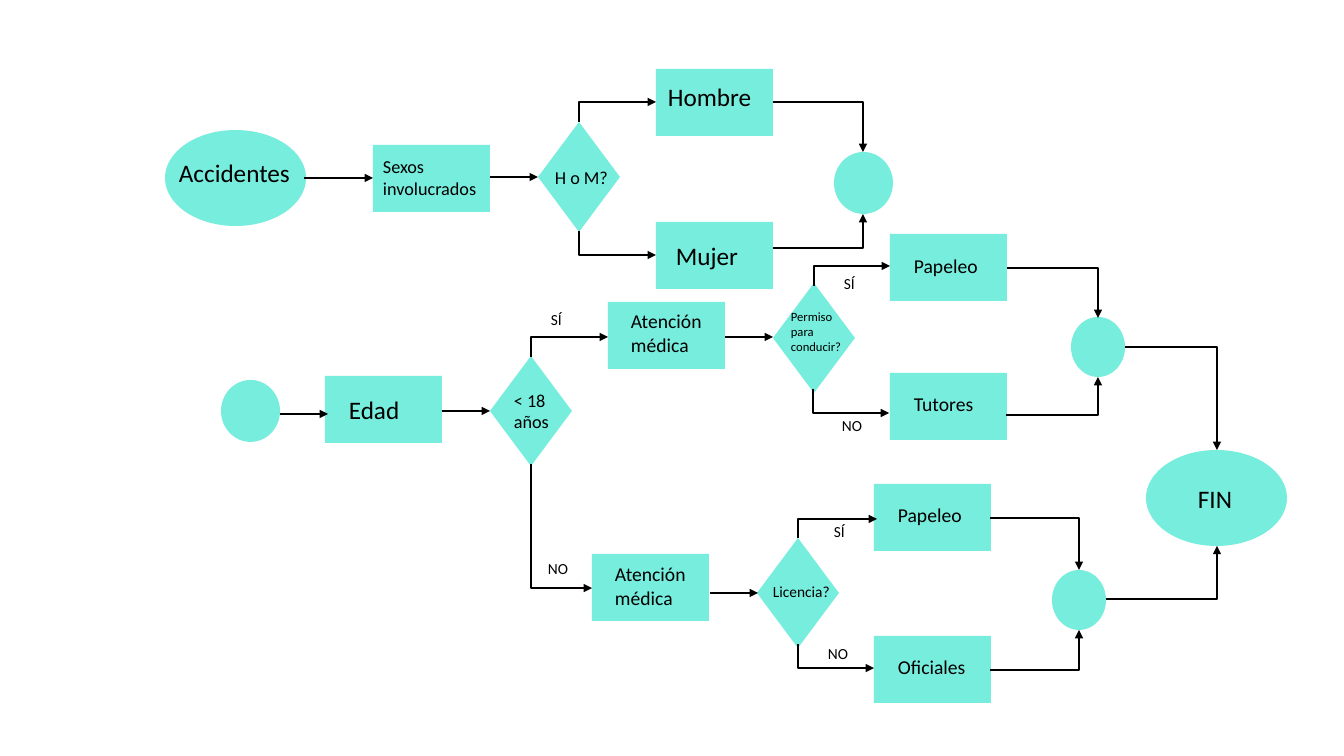
from dataclasses import dataclass
from enum import Enum
from lxml.etree import SubElement
from pptx import Presentation
from pptx.dml.color import RGBColor
from pptx.enum.shapes import MSO_CONNECTOR, MSO_SHAPE
from pptx.enum.text import MSO_AUTO_SIZE
from pptx.oxml.ns import qn
from pptx.util import Pt

SCALE = 914400 / 100.8
TEAL, BLACK = "77EDDD", "000000"


def px(n: float) -> int:
    return round(n * SCALE)


def color(code: str) -> RGBColor:
    return RGBColor.from_string(code)


class Kind(Enum):
    """Preset shape, width and height."""
    END = (MSO_SHAPE.OVAL, 141, 96)
    STEP = (MSO_SHAPE.RECTANGLE, 117, 67)
    TEST = (MSO_SHAPE.FLOWCHART_DECISION, 82, 110)
    JOIN = (MSO_SHAPE.OVAL, 59, 62)
    MERGE = (MSO_SHAPE.OVAL, 54, 60)


class Route(Enum):
    STRAIGHT = 0
    ACROSS = 1  # horizontal leg first
    UPDOWN = 2  # vertical leg first


@dataclass
class Node:
    kind: Kind
    x: int
    y: int


@dataclass
class Label:
    text: str
    x: int
    y: int
    wide: int
    size: int
    lines: int = 1


@dataclass
class Arrow:
    route: Route
    x1: int
    y1: int
    x2: int
    y2: int


NODES = [
    # Sex of those involved
    Node(Kind.END, 165, 130), Node(Kind.STEP, 373, 145), Node(Kind.TEST, 538, 122),
    Node(Kind.STEP, 656, 69), Node(Kind.STEP, 656, 222), Node(Kind.JOIN, 834, 152),
    # Age
    Node(Kind.JOIN, 221, 380), Node(Kind.STEP, 325, 376), Node(Kind.TEST, 490, 356),
    # Under 18
    Node(Kind.STEP, 608, 302), Node(Kind.TEST, 773, 283), Node(Kind.STEP, 890, 234),
    Node(Kind.STEP, 890, 373), Node(Kind.MERGE, 1071, 317),
    # Adults
    Node(Kind.STEP, 592, 554), Node(Kind.TEST, 757, 538), Node(Kind.STEP, 874, 484),
    Node(Kind.STEP, 874, 636), Node(Kind.MERGE, 1052, 570),
    Node(Kind.END, 1146, 450),
]

ARROWS = [Arrow(Route.STRAIGHT, x1, y, x2, y) for x1, x2, y in [
    (304, 373, 178), (490, 538, 177), (280, 328, 414),
    (442, 490, 411), (725, 773, 337), (710, 758, 593),
]] + [Arrow(Route.UPDOWN, *ends) for ends in [
    (579, 122, 656, 102), (579, 231, 656, 255),
    (531, 357, 608, 337), (531, 464, 592, 588),
    (814, 286, 890, 266), (813, 389, 889, 413),
    (798, 538, 877, 519), (798, 644, 874, 668),
]] + [Arrow(Route.ACROSS, *ends) for ends in [
    (773, 102, 863, 152), (773, 248, 863, 214),
    (1007, 268, 1098, 318), (1006, 415, 1098, 377),
    (990, 518, 1079, 570), (990, 670, 1079, 630),
    (1125, 347, 1217, 450), (1106, 599, 1217, 546),
]]

LABELS = [
    Label("Accidentes", 169, 152, 132, 18),
    Label("Sexos\ninvolucrados", 373, 150, 153, 13, 2),
    Label("H o M?", 545, 161, 82, 13),
    Label("Hombre", 658, 76, 132, 18),
    Label("Mujer", 666, 235, 132, 18),
    Label("Edad", 339, 389, 132, 18),
    Label("< 18 años", 504, 384, 82, 13, 2),
    Label("Atención\nmédica", 621, 304, 132, 14, 2),
    Label("Atención\nmédica", 605, 557, 132, 14, 2),
    Label("Permiso para\nconducir?", 781, 304, 82, 9, 3),
    Label("Licencia?", 763, 577, 82, 11),
    Label("Papeleo", 904, 249, 132, 14),
    Label("Tutores", 904, 387, 132, 14),
    Label("Papeleo", 888, 498, 132, 14),
    Label("Oficiales", 888, 650, 132, 14),
    Label("FIN", 1188, 478, 56, 18),
] + [Label(text, x, y, 61, 11) for text, x, y in [
    ("SÍ", 541, 305), ("NO", 538, 554), ("SÍ", 834, 269),
    ("NO", 832, 411), ("SÍ", 824, 517), ("NO", 818, 639),
]]


def draw_node(shapes, node: Node) -> None:
    preset, wide, high = node.kind.value
    shape = shapes.add_shape(preset, px(node.x), px(node.y), px(wide), px(high))
    shape.shadow.inherit = False
    shape.fill.solid()
    shape.fill.fore_color.rgb = color(TEAL)
    shape.line.fill.background()


def draw_arrow(shapes, arrow: Arrow) -> None:
    x1, y1, x2, y2 = arrow.x1, arrow.y1, arrow.x2, arrow.y2
    turned = arrow.route is Route.UPDOWN
    if turned:  # lay the box on its side about the same centre
        mid_x, mid_y = (x1 + x2) / 2, (y1 + y2) / 2
        half_w, half_h = abs(y2 - y1) / 2, abs(x2 - x1) / 2
        x1, x2 = mid_x - half_w, mid_x + half_w
        y1, y2 = mid_y - half_h, mid_y + half_h
    bent = arrow.route is not Route.STRAIGHT
    kind = MSO_CONNECTOR.ELBOW if bent else MSO_CONNECTOR.STRAIGHT
    link = shapes.add_connector(kind, px(x1), px(y1), px(x2), px(y2))
    link.line.color.rgb = color(BLACK)
    link.line.width = Pt(1.5)
    props = link.element.spPr
    if bent:
        props.find(qn("a:prstGeom")).set("prst", "bentConnector2")
    if turned:
        rises = arrow.y2 < arrow.y1
        frame = props.find(qn("a:xfrm"))
        frame.set("rot", str((90 if rises else 270) * 60000))
        frame.set("flipH", "1")
        frame.set("flipV", "1" if rises else "0")
    SubElement(props.find(qn("a:ln")), qn("a:tailEnd"), type="triangle")
    SubElement(props, qn("a:effectLst"))


def draw_label(shapes, label: Label) -> None:
    high = 10 + 1.71 * label.size * label.lines
    box = shapes.add_textbox(px(label.x), px(label.y), px(label.wide), px(high))
    frame = box.text_frame
    frame.word_wrap = True
    frame.auto_size = MSO_AUTO_SIZE.SHAPE_TO_FIT_TEXT
    frame.text = label.text
    for para in frame.paragraphs:
        para.font.name = "Calibri"
        para.font.size = Pt(label.size)
        para.font.color.rgb = color(BLACK)


deck = Presentation()
deck.slide_width, deck.slide_height = px(1344), px(756)
shapes = deck.slides.add_slide(deck.slide_layouts[6]).shapes

# Shapes, then arrows, then text on top
for node in NODES:
    draw_node(shapes, node)
for arrow in ARROWS:
    draw_arrow(shapes, arrow)
for label in LABELS:
    draw_label(shapes, label)

deck.save("out.pptx")
